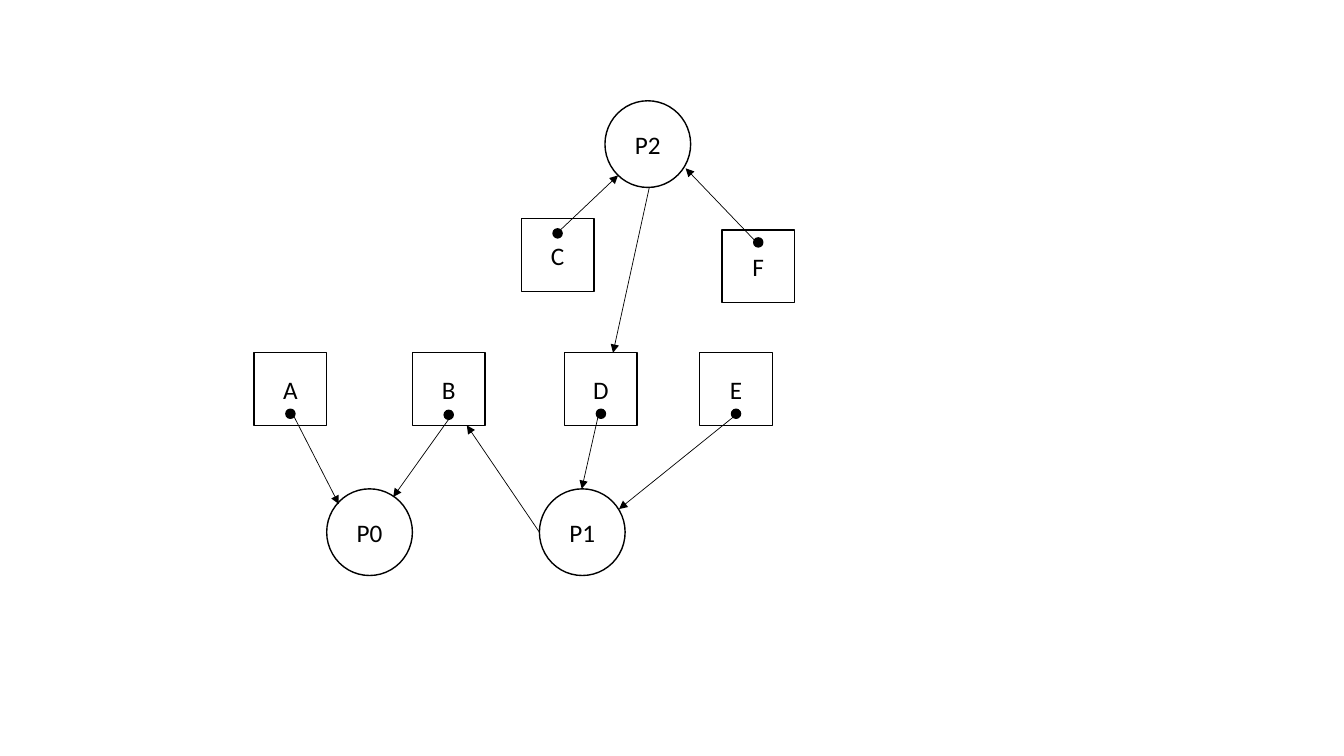
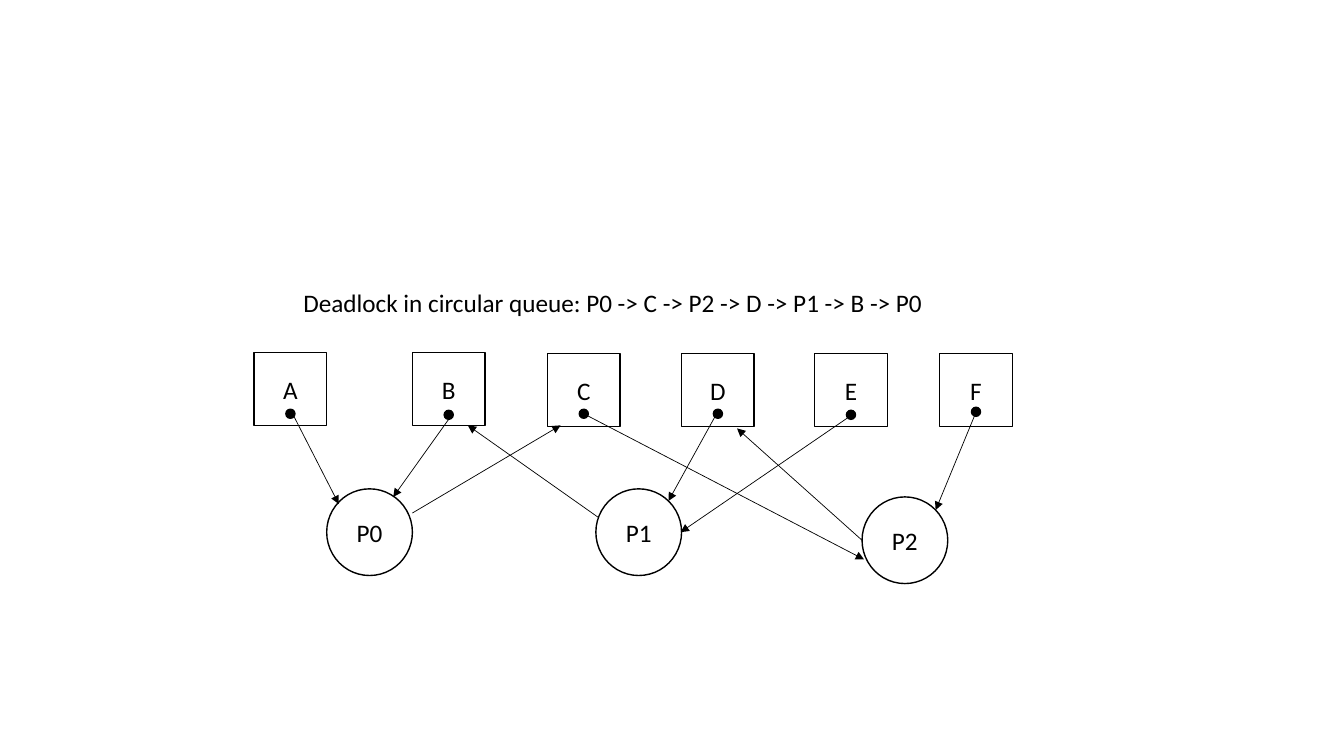
"""Build two resource allocation graphs: one with processes spread out, one showing a deadlock."""
from lxml import etree
from pptx import Presentation
from pptx.dml.color import RGBColor
from pptx.enum.shapes import MSO_CONNECTOR, MSO_SHAPE
from pptx.enum.text import MSO_ANCHOR, MSO_AUTO_SIZE, PP_ALIGN
from pptx.oxml.ns import qn
from pptx.util import Inches, Pt

RECT, OVAL = MSO_SHAPE.RECTANGLE, MSO_SHAPE.OVAL
STRAIGHT = MSO_CONNECTOR.STRAIGHT
MIDDLE, CENTER, FIT = MSO_ANCHOR.MIDDLE, PP_ALIGN.CENTER, MSO_AUTO_SIZE.SHAPE_TO_FIT_TEXT
BLACK, WHITE = RGBColor(0, 0, 0), RGBColor(255, 255, 255)
FONT = {"name": "Calibri", "size": Pt(18)}
BOX, DOT = 0.72, 0.09
CIRCLE_W, CIRCLE_H = 0.85, 0.86

# (name, left, top, dot top), (name, left, top), (start, end)
SHARED = {
    "resources": [("A", 2.52, 3.5, 4.06), ("B", 4.09, 3.5, 4.07)],
    "processes": [("P0", 3.24, 4.85)],
    "arrows": [((2.92, 4.14), (3.36, 5)), ((4.45, 4.16), (3.9, 4.93))],
}
GRAPHS = [
    {
        "resources": [("C", 5.17, 2.17, 2.27), ("D", 5.6, 3.5, 4.06),
                      ("E", 6.94, 3.5, 4.06), ("F", 7.16, 2.28, 2.36)],
        "processes": [("P1", 5.35, 4.85), ("P2", 6, 1)],
        "arrows": [((5.35, 5.28), (4.63, 4.22)), ((5.93, 4.14), (5.77, 4.85)),
                   ((7.27, 4.14), (6.14, 5.05)), ((7.48, 2.38), (6.8, 1.67)),
                   ((5.56, 2.28), (6.13, 1.74)), ((6.44, 1.86), (6.08, 3.5))],
        "caption": None,
    },
    {
        "resources": [("C", 5.43, 3.51, 4.06), ("D", 6.76, 3.51, 4.06),
                      ("E", 8.08, 3.51, 4.07), ("F", 9.32, 3.51, 4.04)],
        "processes": [("P1", 5.91, 4.85), ("P2", 8.55, 4.93)],
        "arrows": [((7.11, 4.1), (6.63, 4.97)), ((8.4, 4.15), (6.75, 5.28)),
                   ((9.68, 4.09), (9.28, 5.06)), ((8.55, 5.36), (7.31, 4.25)),
                   ((5.93, 5.13), (4.64, 4.22)), ((5.78, 4.1), (8.57, 5.55)),
                   ((4.09, 5.09), (5.56, 4.22))],
        "caption": "Deadlock in circular queue: P0 -> C -> P2 -> D -> P1 -> B -> P0",
    },
]


def write(tf, text):
    p = tf.paragraphs[0]
    r = p.add_run()
    r.text = text
    for key, value in FONT.items():
        setattr(r.font, key, value)
    r.font.color.rgb = BLACK
    return p


def add_node(s, kind, left, top, width, height, fill, text=None):
    sp = s.shapes.add_shape(kind, *map(Inches, (left, top, width, height)))
    sp.shadow.inherit = False
    sp.fill.solid()
    sp.fill.fore_color.rgb = fill
    sp.line.color.rgb = BLACK
    sp.line.width = Pt(1)
    if text:
        sp.text_frame.vertical_anchor = MIDDLE
        write(sp.text_frame, text).alignment = CENTER


def add_arrow(s, start, end):
    line = s.shapes.add_connector(STRAIGHT, *map(Inches, start + end))
    line.line.color.rgb = BLACK
    line.line.width = Pt(0.5)
    etree.SubElement(line.line._get_or_add_ln(), qn("a:tailEnd"), type="triangle")
    etree.SubElement(line._element.spPr, qn("a:effectLst"))


def add_caption(s, text):
    tf = s.shapes.add_textbox(*map(Inches, (2.91, 2.8, 6.42, 0.4))).text_frame
    tf.word_wrap = False
    tf.auto_size = FIT
    write(tf, text)


def add_graph(prs, graph):
    s = prs.slides.add_slide(prs.slide_layouts[6])
    resources, processes, arrows = (SHARED[key] + graph[key] for key in SHARED)
    for name, left, top, _ in resources:
        add_node(s, RECT, left, top, BOX, BOX, WHITE, name)
    for name, left, top in processes:
        add_node(s, OVAL, left, top, CIRCLE_W, CIRCLE_H, WHITE, name)
    for start, end in arrows:
        add_arrow(s, start, end)
    for _, left, _, dot_top in resources:
        add_node(s, OVAL, left + (BOX - DOT) / 2, dot_top, DOT, DOT, BLACK)
    if graph["caption"]:
        add_caption(s, graph["caption"])


def main():
    prs = Presentation()
    prs.slide_width, prs.slide_height = Inches(13.33), Inches(7.5)
    for graph in GRAPHS:
        add_graph(prs, graph)
    prs.save("out.pptx")


if __name__ == "__main__":
    main()
